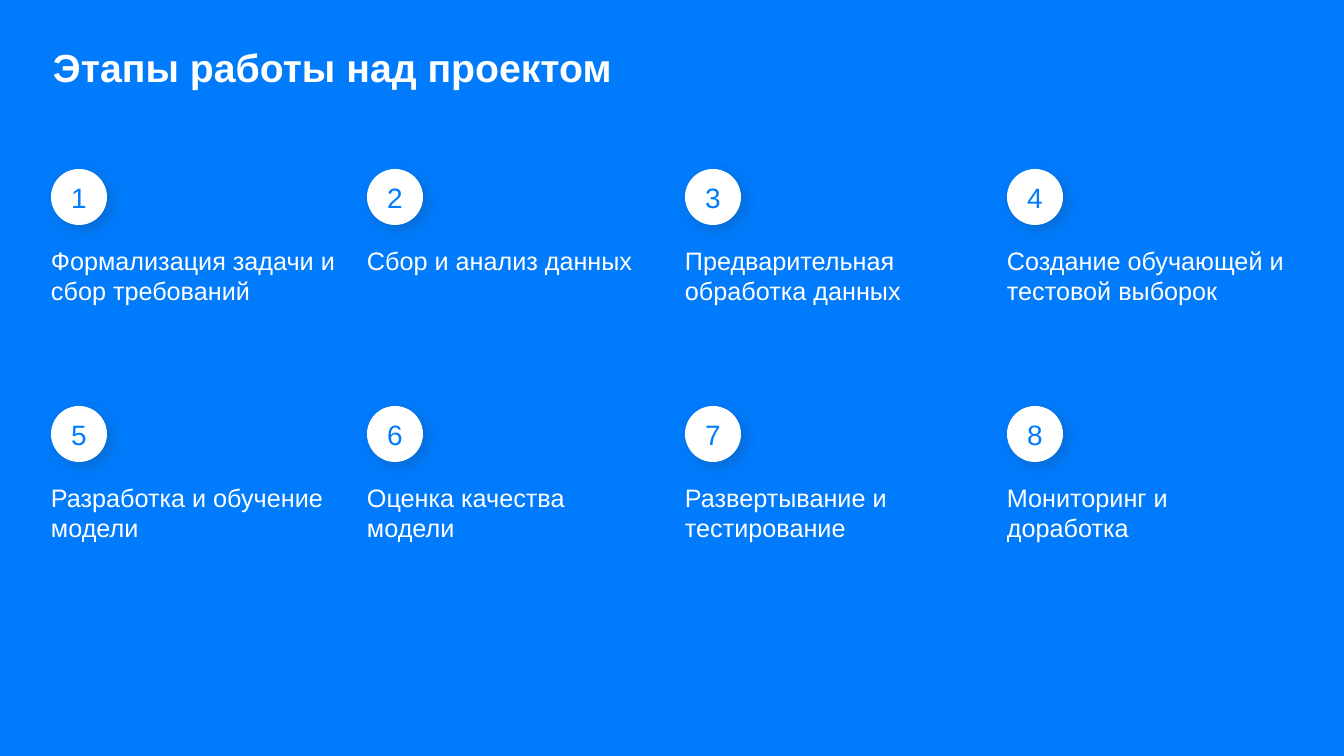
from pptx import Presentation
from pptx.dml.color import RGBColor
from pptx.enum.shapes import MSO_SHAPE
from pptx.enum.text import MSO_ANCHOR, MSO_AUTO_SIZE, PP_ALIGN
from pptx.oxml import parse_xml
from pptx.oxml.ns import nsdecls, qn
from pptx.util import Pt

TITLE = "Этапы работы над проектом"
STAGES = [
    "Формализация задачи и сбор требований",
    "Сбор и анализ данных",
    "Предварительная обработка данных",
    "Создание обучающей и тестовой выборок",
    "Разработка и обучение модели",
    "Оценка качества модели",
    "Развертывание и тестирование",
    "Мониторинг и доработка",
]
COLUMNS = [(51, 295), (367, 288), (685, 292), (1007, 288)]
ROWS = [169, 406]
CIRCLE, NUMBER_W, NUMBER_H = 56, 40, 35
LABEL_DROP, LINE_H, ONE_LINE_CHARS = 76, 31, 20
BLUE, WHITE, SHADOW = "007BFC", "FFFFFF", "2C2C2C"


def px(*values):
    return [round(v * 914400 / 50.4) for v in values]


def rgb(color):
    return RGBColor.from_string(color)


def write(sp, text, size, color, align=PP_ALIGN.LEFT, anchor=MSO_ANCHOR.TOP,
          margin=0, bold=False, fit=MSO_AUTO_SIZE.SHAPE_TO_FIT_TEXT):
    tf = sp.text_frame
    inset = px(margin)[0]
    frame = {"word_wrap": True, "auto_size": fit, "vertical_anchor": anchor,
             "margin_left": inset, "margin_right": inset,
             "margin_top": inset, "margin_bottom": inset}
    for name, value in frame.items():
        setattr(tf, name, value)
    p = tf.paragraphs[0]
    p.alignment = align
    r = p.add_run()
    r.text = text
    for name, value in {"name": "Arial", "size": Pt(size), "bold": bold}.items():
        setattr(r.font, name, value)
    r.font.color.rgb = rgb(color)


def add_circle(s, x, y):
    sp = s.shapes.add_shape(MSO_SHAPE.OVAL, *px(x, y, CIRCLE, CIRCLE))
    sp.fill.solid()
    sp.fill.fore_color.rgb = rgb(WHITE)
    sp.line.fill.background()
    sp.shadow.inherit = False
    sp.element.spPr.find(qn("a:effectLst")).append(parse_xml(
        f'<a:outerShdw {nsdecls("a")} blurRad="{Pt(20)}" dist="{Pt(10)}" '
        f'dir="2700000" algn="ctr" rotWithShape="0"><a:srgbClr val="{SHADOW}">'
        '<a:alpha val="20000"/></a:srgbClr></a:outerShdw>'))


def add_stage(s, number, text, x, y, width):
    add_circle(s, x, y)
    sp = s.shapes.add_textbox(*px(x + (CIRCLE - NUMBER_W) / 2,
                                  y + (CIRCLE - NUMBER_H) / 2, NUMBER_W, NUMBER_H))
    write(sp, str(number), 40, BLUE, PP_ALIGN.CENTER, MSO_ANCHOR.MIDDLE)
    lines = 1 if len(text) <= ONE_LINE_CHARS else 2
    sp = s.shapes.add_textbox(*px(x, y + LABEL_DROP, width, lines * LINE_H))
    write(sp, text, 36, WHITE)


def main():
    prs = Presentation()
    prs.slide_width, prs.slide_height = px(1344, 756)
    s = prs.slides.add_slide(prs.slide_layouts[5])
    s.background.fill.solid()
    s.background.fill.fore_color.rgb = rgb(BLUE)
    title = s.shapes.title
    title.left, title.top, title.width, title.height = px(50, 40, 930, 126)
    write(title, TITLE, 56, WHITE, margin=3, bold=True, fit=MSO_AUTO_SIZE.NONE)
    for i, text in enumerate(STAGES):
        row, col = divmod(i, len(COLUMNS))
        x, width = COLUMNS[col]
        add_stage(s, i + 1, text, x, ROWS[row], width)
    prs.save("out.pptx")


if __name__ == "__main__":
    main()
